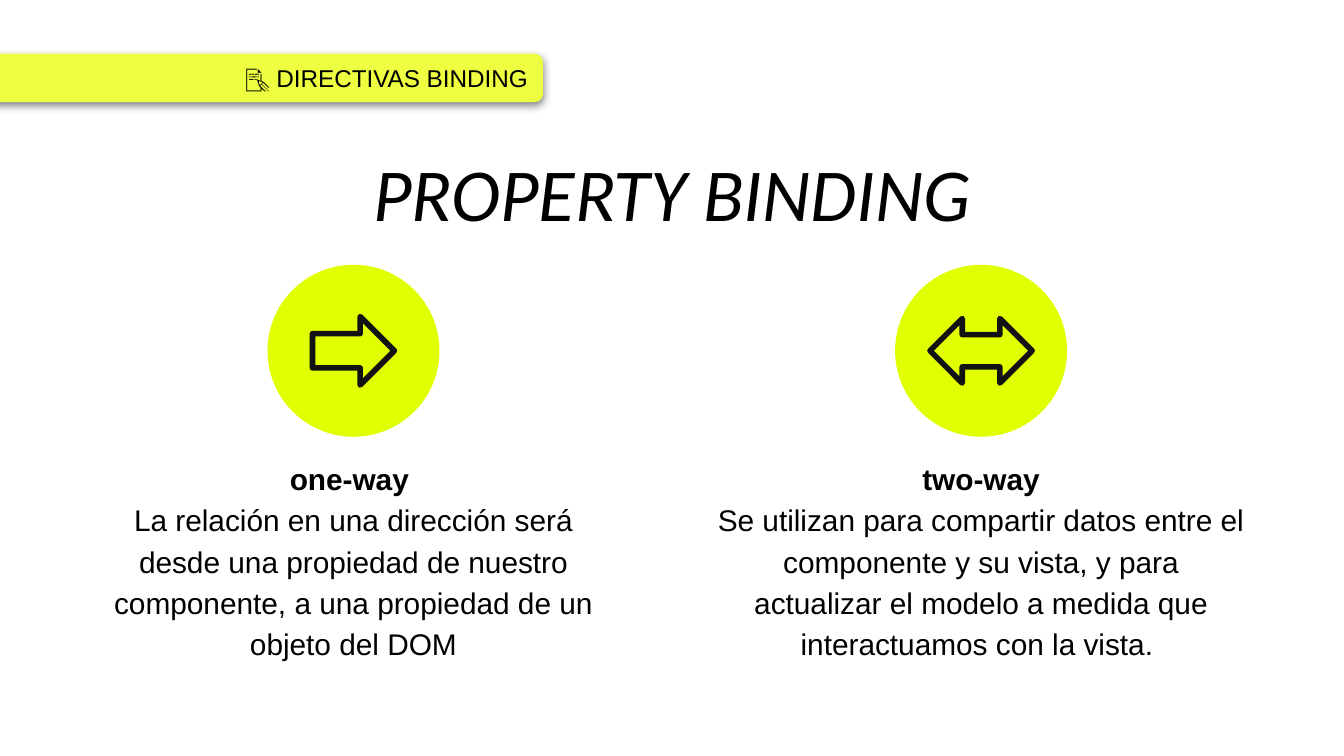
import pptx
import pptx.util
import pptx.dml.color
import pptx.enum.shapes
import pptx.enum.text
import pptx.oxml
import pptx.oxml.ns
from dataclasses import dataclass

Inches, Pt = pptx.util.Inches, pptx.util.Pt
RGB = pptx.dml.color.RGBColor.from_string
SHAPE = pptx.enum.shapes.MSO_SHAPE
ALIGN = pptx.enum.text.PP_ALIGN
ANCHOR = pptx.enum.text.MSO_ANCHOR

# Content: each paragraph is a list of (text, bold) spans, "\n" is a line break
BANNER = "📝 DIRECTIVAS BINDING"
TITLE = "PROPERTY BINDING"
COLUMNS = [
    {"paragraphs": [
        [("one-way ", True), ("\n", True),
         ("La relación en una dirección será desde una propiedad de nuestro "
          "componente, a una propiedad de un objeto del DOM", False)]],
     "arrow": SHAPE.RIGHT_ARROW, "arrow_size": (0.61, 0.51),
     "center": 2.63, "text_width": 3.79},
    {"paragraphs": [
        [("two-way", True)],
        [("Se utilizan para compartir datos entre el componente y su vista, y para "
          "actualizar el modelo a medida que interactuamos con la vista. ", False)]],
     "arrow": SHAPE.LEFT_RIGHT_ARROW, "arrow_size": (0.76, 0.48),
     "center": 7.3, "text_width": 4.14},
]


@dataclass
class Theme:
    text: str = "000000"
    background: str = "FFFFFF"
    circle: str = "E0FF00"
    banner: str = "EEFF41"
    outline: str = "121212"
    body_font: str = "Arial"
    title_font: str = "Calibri"
    title_size: int = 40
    body_size: int = 16
    banner_size: int = 13


theme = Theme()

# Layout, in inches
CIRCLE_SIZE, CIRCLE_MIDDLE = 1.28, 2.61
TEXT_TOP, TEXT_HEIGHT = 3.29, 1.41


def place(item, left, top, width, height):
    item.left, item.top = Inches(left), Inches(top)
    item.width, item.height = Inches(width), Inches(height)


def set_frame(shape, anchor=ANCHOR.TOP):
    frame = shape.text_frame
    frame.word_wrap = True
    frame.auto_size = pptx.enum.text.MSO_AUTO_SIZE.NONE
    frame.vertical_anchor = anchor
    frame.margin_left = frame.margin_right = Inches(0.1)
    frame.margin_top = frame.margin_bottom = Inches(0.1)
    return frame


def style(para, font_name, size, align=ALIGN.CENTER, italic=False):
    para.alignment = align
    para.space_before = Pt(0)
    font = para.font
    font.name, font.size, font.italic = font_name, Pt(size), italic
    font.color.rgb = RGB(theme.text)


def remove_bullet(para):
    properties = para._p.get_or_add_pPr()
    properties.set("marL", "0")
    properties.set("indent", "0")
    properties.append(pptx.oxml.parse_xml(
        f"<a:buNone {pptx.oxml.ns.nsdecls('a')}/>"))


def add_spans(para, spans):
    for text, bold in spans:
        if text == "\n":
            para.add_line_break()
        else:
            span = para.add_run()
            span.text, span.font.bold = text, bold


def add_filled(page, kind, box, fill, outline=None):
    shape = page.shapes.add_shape(kind, *(Inches(value) for value in box))
    shape.shadow.inherit = False
    shape.fill.solid()
    shape.fill.fore_color.rgb = RGB(fill)
    if outline:
        shape.line.color.rgb = RGB(outline)
        shape.line.width = Pt(3)
    else:
        shape.line.fill.background()
    return shape


def add_centered(page, kind, center, size, outline=None):
    width, height = size
    box = (center - width / 2, CIRCLE_MIDDLE - height / 2, width, height)
    return add_filled(page, kind, box, theme.circle, outline)


def add_drop_shadow(shape):
    effects = shape._element.spPr.find(pptx.oxml.ns.qn("a:effectLst"))
    effects.append(pptx.oxml.parse_xml(
        f'<a:outerShdw {pptx.oxml.ns.nsdecls("a")} blurRad="{Pt(4.5)}" '
        f'dist="{Pt(1.5)}" dir="5400000" algn="bl" rotWithShape="0">'
        f'<a:srgbClr val="{theme.text}"><a:alpha val="50000"/></a:srgbClr>'
        '</a:outerShdw>'))


def main():
    # Widescreen page, 16:9
    deck = pptx.Presentation()
    deck.slide_width = Inches(10)
    deck.slide_height = deck.slide_width * 9 // 16
    page = deck.slides.add_slide(deck.slide_layouts.get_by_name("Two Content"))
    page.background.fill.solid()
    page.background.fill.fore_color.rgb = RGB(theme.background)

    # Title
    title, *bodies = page.placeholders
    place(title, 1.9, 0.99, 6.2, 1.08)
    para = set_frame(title).paragraphs[0]
    para.text = TITLE
    style(para, theme.title_font, theme.title_size, italic=True)

    # Columns: circle, arrow and description on one centre line
    for column, body in zip(COLUMNS, bodies):
        center, width = column["center"], column["text_width"]
        add_centered(page, SHAPE.OVAL, center, (CIRCLE_SIZE, CIRCLE_SIZE))
        add_centered(page, column["arrow"], center, column["arrow_size"], theme.outline)

        place(body, center - width / 2, TEXT_TOP, width, TEXT_HEIGHT)
        frame = set_frame(body)
        for index, spans in enumerate(column["paragraphs"]):
            para = frame.add_paragraph() if index else frame.paragraphs[0]
            remove_bullet(para)
            para.line_spacing = 1.15
            style(para, theme.body_font, theme.body_size)
            add_spans(para, spans)

    # Section banner running in from the left edge
    banner = add_filled(page, SHAPE.ROUNDED_RECTANGLE, (-0.1, 0.4, 4.14, 0.36), theme.banner)
    add_drop_shadow(banner)
    para = set_frame(banner, ANCHOR.MIDDLE).paragraphs[0]
    para.text = BANNER
    style(para, theme.body_font, theme.banner_size, ALIGN.RIGHT)

    # Unused footer placeholders
    for holder in list(page.placeholders):
        if not holder.text_frame.text:
            holder._element.getparent().remove(holder._element)

    deck.save("out.pptx")


if __name__ == "__main__":
    main()
